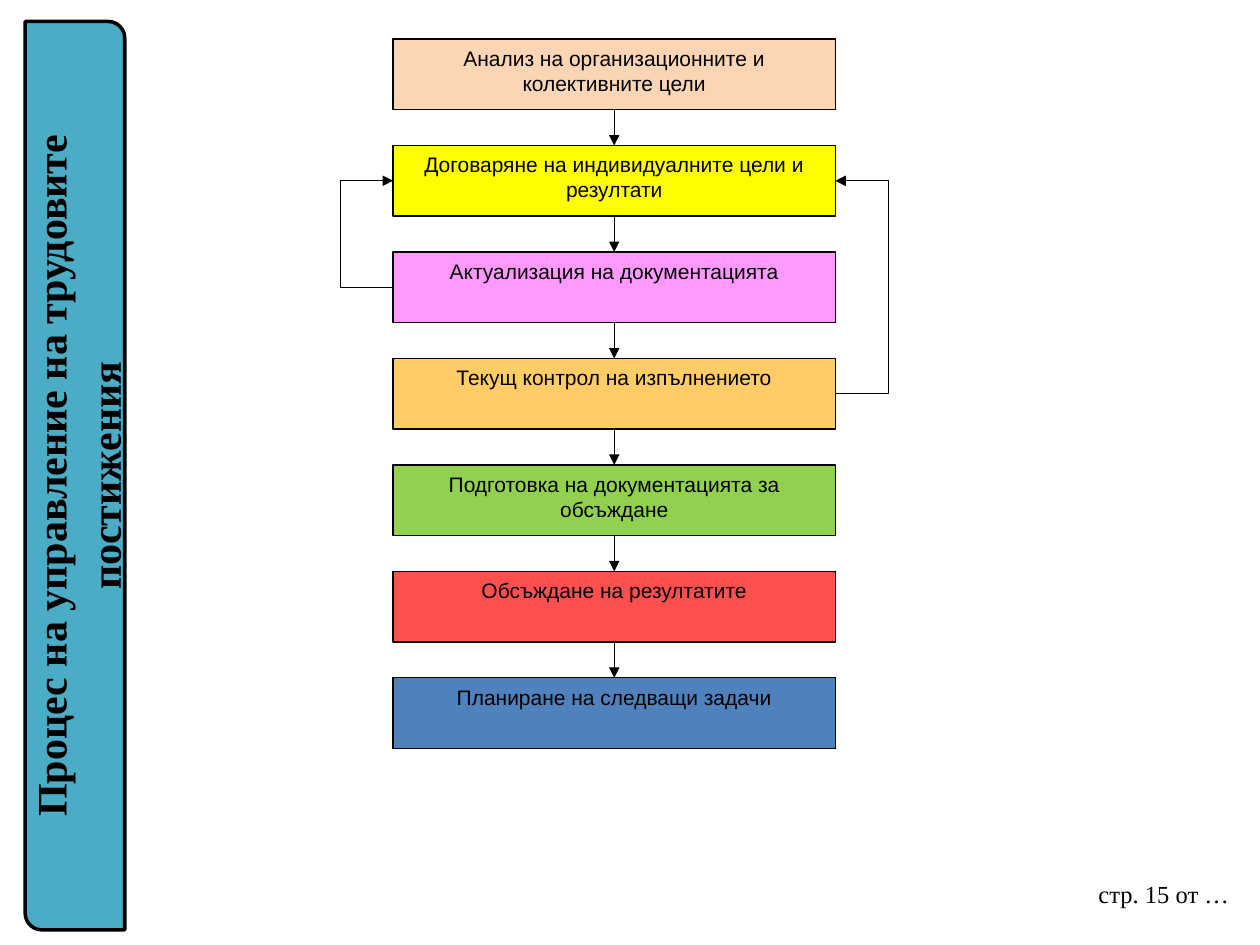
import pptx
import pptx.dml.color
import pptx.enum.shapes
import pptx.enum.text
import pptx.oxml
import pptx.oxml.ns
import pptx.util
from pptx.util import Inches

SHAPES = pptx.enum.shapes.MSO_SHAPE
ANCHOR = pptx.enum.text.MSO_ANCHOR
CENTER = pptx.enum.text.PP_ALIGN.CENTER

BLACK = "000000"
STEPS = [
    ("Анализ на организационните и колективните цели", "FCD5B5"),
    ("Договаряне на индивидуалните цели и резултати", "FFFF00"),
    ("Актуализация на документацията", "FF99FF"),
    ("Текущ контрол на изпълнението", "FFCC66"),
    ("Подготовка на документацията за обсъждане", "92D050"),
    ("Обсъждане на резултатите", "FF5050"),
    ("Планиране на следващи задачи", "4F81BD"),
]
STEP_LEFT, STEP_WIDTH, STEP_HEIGHT = 3.12, 3.51, 0.56
FIRST_TOP, LAST_TOP = 0.31, 5.38
STEP_PITCH = (LAST_TOP - FIRST_TOP) / (len(STEPS) - 1)
LOOP_REACH = Inches(0.42)


def color(value):
    return pptx.dml.color.RGBColor.from_string(value)


def set_line(shape, width):
    shape.line.color.rgb = color(BLACK)
    shape.line.width = pptx.util.Pt(width)


def add_arrowhead(shape):
    """Put a triangle at the end of a line."""
    tail = pptx.oxml.parse_xml(
        '<a:tailEnd %s type="triangle"/>' % pptx.oxml.ns.nsdecls("a"))
    shape.line._get_or_add_ln().append(tail)


def write(shape, text, font, size, bold=False, align=None, anchor=ANCHOR.TOP):
    frame = shape.text_frame
    frame.word_wrap = True
    frame.vertical_anchor = anchor
    para = frame.paragraphs[0]
    para.text = text
    para.alignment = align
    para.font.name = font
    para.font.size = pptx.util.Pt(size)
    para.font.bold = bold
    para.font.color.rgb = color(BLACK)
    return para


def add_block(page, kind, left, top, width, height, fill, line_width):
    block = page.shapes.add_shape(
        kind, Inches(left), Inches(top), Inches(width), Inches(height))
    block.shadow.inherit = False
    block.fill.solid()
    block.fill.fore_color.rgb = color(fill)
    set_line(block, line_width)
    return block


def add_title(page):
    title = add_block(page, SHAPES.ROUND_2_DIAG_RECTANGLE,
                      -3.01, 3.38, 7.21, 0.79, "4BACC6", 2)
    title.rotation = 270
    para = write(title, "Процес на управление на трудовите постижения",
                 "Times New Roman", 24, True, CENTER, ANCHOR.MIDDLE)
    para.line_spacing = 1.08


def add_step(page, index, text, fill):
    step = add_block(page, SHAPES.RECTANGLE, STEP_LEFT,
                     FIRST_TOP + index * STEP_PITCH,
                     STEP_WIDTH, STEP_HEIGHT, fill, 0.75)
    write(step, text, "Arial", 12, align=CENTER)
    return step


def add_down_arrow(page, upper, lower):
    arrow = page.shapes.add_connector(
        pptx.enum.shapes.MSO_CONNECTOR.STRAIGHT, 0, 0, 0, 0)
    arrow.begin_connect(upper, 2)
    arrow.end_connect(lower, 0)
    set_line(arrow, 0.75)
    add_arrowhead(arrow)
    arrow._element.spPr.append(pptx.oxml.parse_xml(
        "<a:effectLst %s/>" % pptx.oxml.ns.nsdecls("a")))


def add_loop(page, source, target, on_right):
    """Draw a squared arrow back from one step's side to an earlier step's."""
    side = source.left + (source.width if on_right else 0)
    outer = side + (LOOP_REACH if on_right else -LOOP_REACH)
    start = source.top + source.height // 2
    end = target.top + target.height // 2
    builder = page.shapes.build_freeform(side, start)
    builder.add_line_segments(
        [(outer, start), (outer, end), (side, end)], close=False)
    loop = builder.convert_to_shape()
    loop.shadow.inherit = False
    loop.fill.background()
    set_line(loop, 0.75)
    add_arrowhead(loop)


def add_page_label(page):
    label = page.shapes.add_textbox(
        Inches(8.62), Inches(6.93), Inches(1.3), Inches(0.52))
    write(label, "стр. 15 от …", "Times New Roman", 14)


def main():
    deck = pptx.Presentation()
    deck.slide_width, deck.slide_height = Inches(10), Inches(7.5)
    page = deck.slides.add_slide(deck.slide_layouts[6])
    add_page_label(page)
    steps = [add_step(page, index, text, fill)
             for index, (text, fill) in enumerate(STEPS)]
    for upper, lower in zip(steps, steps[1:]):
        add_down_arrow(page, upper, lower)
    add_loop(page, steps[3], steps[1], on_right=True)
    add_loop(page, steps[2], steps[1], on_right=False)
    add_title(page)
    deck.save("out.pptx")


if __name__ == "__main__":
    main()
